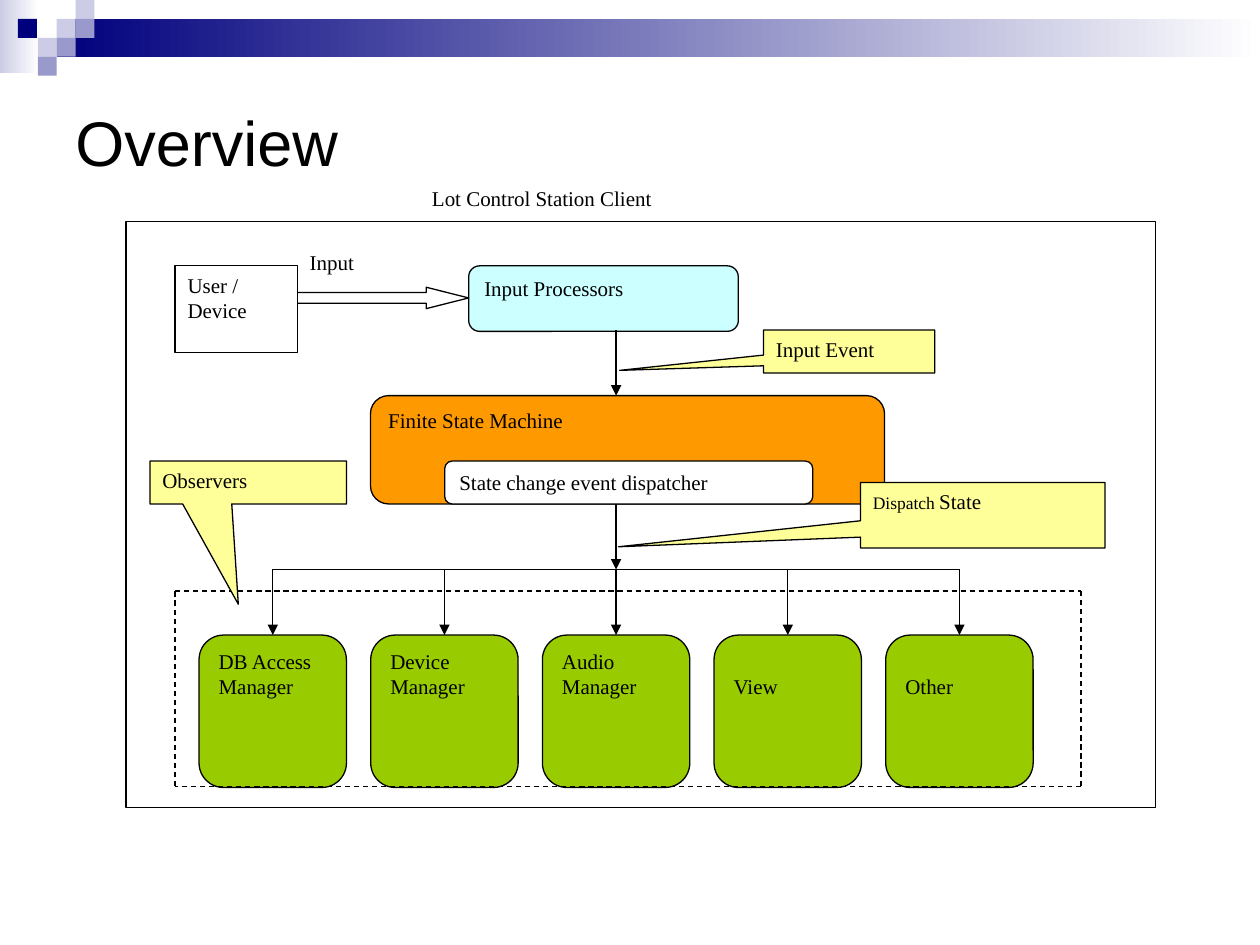
from itertools import pairwise

from lxml.etree import SubElement
from pptx import Presentation
from pptx.dml.color import RGBColor
from pptx.enum.dml import MSO_LINE
from pptx.enum.shapes import MSO_CONNECTOR, MSO_SHAPE as Shape
from pptx.enum.text import MSO_ANCHOR
from pptx.oxml.ns import qn
from pptx.util import Inches, Pt

THEME = dict(
    navy="00007D", lilac="CCCCE6", violet="9999CC", white="FFFFFF", black="000000",
    cyan="CCFFFF", orange="FF9900", yellow="FFFF99", green="99CC00",
    title_font="Arial", body_font="Times New Roman",
    title_size=36, body_size=12, small_size=10, line_width=0.75,
)

TITLE = "Overview"
FADES = [((0, 0, 0.31, 0.58), "lilac"), ((0.45, 0.15, 9.55, 0.3), "navy")]
TILE = 0.15
TILES = [
    (3, 1, "lilac"), (4, 0, "lilac"), (4, 1, "violet"), (2, 2, "lilac"),
    (0.95, 1, "navy"), (3, 2, "violet"), (2, 3, "violet"),
]
BOXES = [
    (Shape.RECTANGLE, (3.33, 1.42, 3.31, 0.35), "white", "white", ["Lot Control Station Client"], []),
    (Shape.RECTANGLE, (1, 1.76, 8.17, 4.65), "white", "black", [], []),
    (Shape.FLOWCHART_ALTERNATE_PROCESS, (3.72, 2.11, 2.14, 0.52), "cyan", "black", ["Input Processors"], []),
    (Shape.FLOWCHART_ALTERNATE_PROCESS, (2.94, 3.14, 4.08, 0.86), "orange", "black", ["Finite State Machine"], []),
    (Shape.RECTANGULAR_CALLOUT, (6.06, 2.62, 1.36, 0.34), "yellow", "black", ["Input Event"], [-1.34, 0.44]),
]
OVERLAYS = [
    (Shape.RECTANGULAR_CALLOUT, (6.83, 3.83, 1.94, 0.52), "yellow", "black", ["Dispatch State"], [-1.49, 0.48]),
    (Shape.ROUNDED_RECTANGLE, (3.53, 3.66, 2.92, 0.34), "white", "black", ["State change event dispatcher"], [0.17]),
    (Shape.RECTANGULAR_CALLOUT, (1.19, 3.66, 1.56, 0.34), "yellow", "black", ["Observers"], [-0.05, 2.84]),
    (Shape.RIGHT_ARROW, (2.36, 2.28, 1.36, 0.17), "white", "black", [], [0.5, 1.98]),
    (Shape.RECTANGLE, (2.36, 1.93, 0.97, 0.34), "white", "white", ["Input"], []),
    (Shape.RECTANGLE, (1.39, 2.11, 0.97, 0.69), "white", "black", ["User /", "Device"], []),
]
OBSERVERS = [
    (["DB Access Manager"], 0.05), (["Device Manager"], 0.05),
    (["Audio", "Manager"], 0.05), (["View"], 0.25), (["Other"], 0.25),
]
OBS_LEFT, OBS_TOP, OBS_W, OBS_H, OBS_STEP = 1.58, 5.04, 1.17, 1.21, 1.3625
BUS_Y, FLOW_X = 4.52, 4.89
FLOWS = [(2.62, 3.14), (4, BUS_Y)]
OBSERVER_FRAME = [(1.39, 4.69), (8.58, 4.69), (8.58, 6.24), (1.39, 6.24), (1.39, 4.69)]


def color(name):
    """Return a theme colour as RGB."""
    return RGBColor.from_string(THEME[name])


def write(sp, lines, font="body", top=0.05, anchor=MSO_ANCHOR.TOP):
    """Fill a shape with left-aligned paragraphs."""
    tf = sp.text_frame
    tf.word_wrap = True
    tf.vertical_anchor = anchor
    tf.margin_top = Inches(top)
    tf.text = "\n".join(lines)
    for p in tf.paragraphs:
        p.alignment = 1
        p.font.name = THEME[font + "_font"]
        p.font.size = Pt(THEME[font + "_size"])
        p.font.color.rgb = color("black")


def add_box(s, kind, box, fill, line=None, lines=(), adjust=(), top=0.05):
    """Add a flat preset shape with optional outline and text."""
    sp = s.shapes.add_shape(kind, *map(Inches, box))
    sp.shadow.inherit = False
    sp.fill.solid()
    sp.fill.fore_color.rgb = color(fill)
    if line:
        sp.line.color.rgb = color(line)
        sp.line.width = Pt(THEME["line_width"])
    else:
        sp.line.fill.background()
    for i, value in enumerate(adjust):
        sp.adjustments[i] = value
    if lines:
        write(sp, lines, top=top)
    return sp


def add_line(s, start, end, arrow=False, dashed=False):
    """Add a thin black straight connector."""
    c = s.shapes.add_connector(MSO_CONNECTOR.STRAIGHT, *map(Inches, (*start, *end)))
    c.line.color.rgb = color("black")
    c.line.width = Pt(THEME["line_width"])
    if dashed:
        c.line.dash_style = MSO_LINE.DASH
    if arrow:
        SubElement(c.line._get_or_add_ln(), qn("a:tailEnd"), type="triangle")
    SubElement(c._element.spPr, qn("a:effectLst"))
    return c


def add_banner(s):
    """Draw the gradient banner and its mosaic of tiles."""
    for box, shade in FADES:
        sp = add_box(s, Shape.RECTANGLE, box, shade)
        sp.fill.gradient()
        sp.fill.gradient_angle = 180
        for stop, name in zip(sp.fill.gradient_stops, ("white", shade)):
            stop.color.rgb = color(name)
    for col, row, shade in TILES:
        add_box(s, Shape.RECTANGLE, (col * TILE, row * TILE, TILE, TILE), shade)


def add_observers(s):
    """Draw the observer boxes and the bus that feeds them."""
    centers = [OBS_LEFT + OBS_W / 2 + i * OBS_STEP for i in range(len(OBSERVERS))]
    add_line(s, (centers[0], BUS_Y), (centers[-1], BUS_Y))
    for x, (lines, top) in zip(centers, OBSERVERS):
        sp = add_box(s, Shape.FLOWCHART_ALTERNATE_PROCESS, (x - OBS_W / 2, OBS_TOP, OBS_W, OBS_H),
                     "green", "black", lines, top=top)
        add_line(s, (x, BUS_Y), (x, OBS_TOP), arrow=True).end_connect(sp, 0)


def main():
    """Build the overview slide."""
    prs = Presentation()
    prs.slide_width, prs.slide_height = Inches(10), Inches(7.5)
    s = prs.slides.add_slide(prs.slide_layouts[6])
    add_banner(s)
    title = s.shapes.add_textbox(*map(Inches, (0.5, 0.5, 9, 1.24)))
    write(title, [TITLE], "title", anchor=MSO_ANCHOR.MIDDLE)
    for box in BOXES:
        add_box(s, *box)
    add_observers(s)
    for start, end in pairwise(OBSERVER_FRAME):
        add_line(s, start, end, dashed=True)
    overlays = [add_box(s, *box) for box in OVERLAYS]
    p = overlays[0].text_frame.paragraphs[0]
    first, last = p.text.split()
    p.runs[0].text = first + " "
    p.runs[0].font.size = Pt(THEME["small_size"])
    p.add_run().text = last
    for y1, y2 in FLOWS:
        add_line(s, (FLOW_X, y1), (FLOW_X, y2), arrow=True)
    prs.save("out.pptx")


if __name__ == "__main__":
    main()
